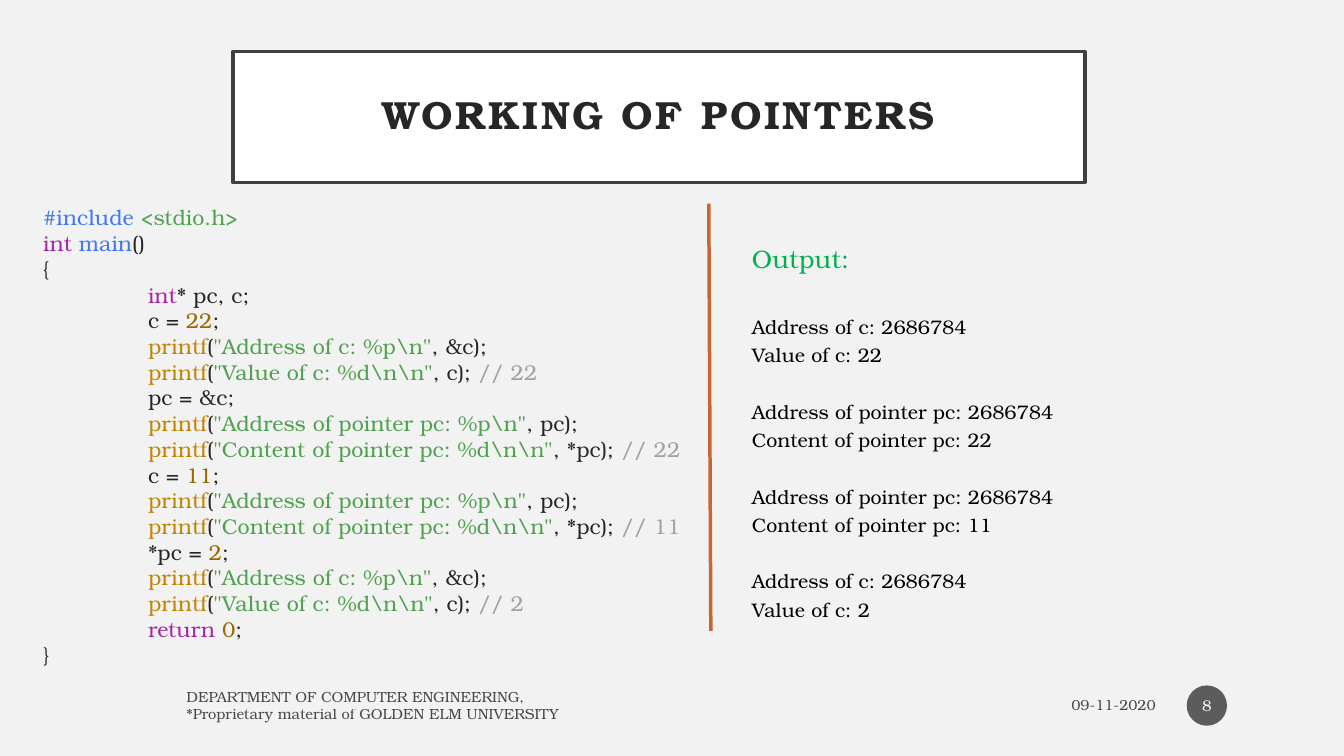
"""Build the slide on the working of pointers."""
from dataclasses import dataclass
from typing import Any

from lxml.etree import SubElement
from pptx import Presentation
from pptx.dml.color import RGBColor
from pptx.enum.shapes import MSO_CONNECTOR, MSO_SHAPE
from pptx.enum.text import MSO_ANCHOR, MSO_AUTO_SIZE, PP_ALIGN
from pptx.oxml.ns import qn
from pptx.util import Inches, Pt

FONT = "TeX Gyre Bonum"
HUES = {
    "back": "F2F2F2", "white": "FFFFFF", "frame": "404040", "text": "262626",
    "black": "000000", "disc": "1D1D1D", "rule": "C96731", "head": "00B050",
    "call": "4078F2", "quote": "50A14F", "key": "A626A4", "num": "986801",
    "print": "C18401", "note": "A0A1A7",
}


@dataclass
class Run:
    """A stretch of text in one colour."""
    text: str
    hue: str = "text"


@dataclass
class Line:
    """A paragraph with its indent, size and gap above."""
    runs: list[Run]
    left: float = 0
    size: float = 15.3
    gap: float = 0


@dataclass
class Label:
    """A line of text at the foot of the slide."""
    box: tuple[float, float, float, float]
    lines: list[str]
    align: PP_ALIGN


def color(name: str) -> RGBColor:
    """Look up a named colour."""
    return RGBColor.from_string(HUES[name])


def fade(node: Any) -> None:
    """Make every colour under the node 70% opaque."""
    for item in node.iter(qn("a:srgbClr")):
        SubElement(item, qn("a:alpha"), val="70000")


def write(shape: Any, lines: list[Line], *, align: PP_ALIGN = PP_ALIGN.LEFT,
          anchor: MSO_ANCHOR = MSO_ANCHOR.TOP, space: float = 1.0,
          bold: bool = False, track: float = 0,
          pad: tuple[float, float] = (0.1, 0.05)) -> None:
    """Fill a shape with formatted lines."""
    frame = shape.text_frame
    frame.word_wrap = True
    frame.auto_size = MSO_AUTO_SIZE.NONE
    frame.vertical_anchor = anchor
    frame.margin_left = frame.margin_right = Inches(pad[0])
    frame.margin_top = frame.margin_bottom = Inches(pad[1])
    for spot, line in enumerate(lines):
        para = frame.add_paragraph() if spot else frame.paragraphs[0]
        para.alignment = align
        para.line_spacing = space
        para.space_before = Pt(line.gap)
        if line.left:
            para._p.get_or_add_pPr().set("marL", str(Inches(line.left)))
        for part in line.runs:
            run = para.add_run()
            run.text = part.text
            font = run.font
            font.name, font.size, font.bold = FONT, Pt(line.size), bold
            font.color.rgb = color(part.hue)
            if track:
                run._r.get_or_add_rPr().set("spc", str(int(track * 100)))


def text_box(slide: Any, box: tuple[float, float, float, float]) -> Any:
    """Add an empty text box."""
    return slide.shapes.add_textbox(*map(Inches, box))


def step(*runs: Run) -> Line:
    """Make an indented line of code."""
    return Line(list(runs), left=1.04)


def show(quote: str, rest: str, note: str = "") -> Line:
    """Make a printf line of code."""
    runs = [Run("printf", "print"), Run("("), Run(f'"{quote}"', "quote"),
            Run(f", {rest});" + (" " if note else ""))]
    return step(*runs, *([Run(note, "note")] if note else []))


def assign(name: str, value: str) -> Line:
    """Make a line that stores a number."""
    return step(Run(f"{name} = "), Run(value, "num"), Run(";"))


def direct(note: str) -> list[Line]:
    """Print c itself."""
    return [show(r"Address of c: %p\n", "&c"),
            show(r"Value of c: %d\n\n", "c", note)]


def via(note: str) -> list[Line]:
    """Print c through its pointer."""
    return [show(r"Address of pointer pc: %p\n", "pc"),
            show(r"Content of pointer pc: %d\n\n", "*pc", note)]


CODE = [
    Line([Run("#include ", "call"), Run("<stdio.h>", "quote")]),
    Line([Run("int ", "key"), Run("main", "call"), Run("()")]),
    Line([Run("{")]),
    step(Run("int", "key"), Run("* pc, c;")),
    assign("c", "22"),
    *direct("// 22"),
    step(Run("pc = &c;")),
    *via("// 22"),
    assign("c", "11"),
    *via("// 11"),
    assign("*pc", "2"),
    *direct("// 2"),
    step(Run("return ", "key"), Run("0", "num"), Run(";")),
    Line([Run("}")]),
]
PRINTS = [("Address of c", "Value of c", 22),
          ("Address of pointer pc", "Content of pointer pc", 22),
          ("Address of pointer pc", "Content of pointer pc", 11),
          ("Address of c", "Value of c", 2)]
LABELS = [
    Label((8.55, 6.82, 3.01, 0.35), ["09-11-2020"], PP_ALIGN.RIGHT),
    Label((1.75, 6.82, 6.45, 0.35),
          ["DEPARTMENT OF COMPUTER ENGINEERING,",
           "*Proprietary material of GOLDEN ELM UNIVERSITY"], PP_ALIGN.LEFT),
]


def result() -> list[Line]:
    """List the lines that the program prints."""
    lines = [Line([Run("Output:", "head")], size=18)]
    for spot, (place, held, value) in enumerate(PRINTS):
        lines.append(Line([Run(f"{place}: 2686784", "black")], size=14,
                          gap=20.2 if spot else 26))
        lines.append(Line([Run(f"{held}: {value}", "black")], size=14))
    return lines


def main() -> None:
    """Draw the slide and save it."""
    deck = Presentation()
    deck.slide_width, deck.slide_height = Inches(13.33), Inches(7.5)
    slide = deck.slides.add_slide(deck.slide_layouts[5])
    slide.background.fill.solid()
    slide.background.fill.fore_color.rgb = color("back")

    title = slide.shapes.title
    title.left, title.top = Inches(2.31), Inches(0.51)
    title.width, title.height = Inches(8.45), Inches(1.3)
    title.fill.solid()
    title.fill.fore_color.rgb = color("white")
    title.line.color.rgb = color("frame")
    title.line.width = Pt(2.5)
    write(title, [Line([Run("WORKING OF POINTERS")], size=28), ],
          align=PP_ALIGN.CENTER, anchor=MSO_ANCHOR.MIDDLE, space=0.9,
          bold=True, track=2, pad=(0.2, 0.2))

    write(text_box(slide, (0.33, 1.98, 6.52, 4.8)), CODE)
    for label in LABELS:
        box = text_box(slide, label.box)
        write(box, [Line([Run(text, "black")], size=10.5)
                    for text in label.lines],
              align=label.align, anchor=MSO_ANCHOR.MIDDLE)
        fade(box._element)

    disc = slide.shapes.add_shape(
        MSO_SHAPE.OVAL, *map(Inches, (11.77, 6.8, 0.4, 0.4)))
    disc.shadow.inherit = False
    disc.fill.solid()
    disc.fill.fore_color.rgb = color("disc")
    disc.line.fill.background()
    fade(disc._element)
    write(disc, [Line([Run("8", "white")], size=11)], align=PP_ALIGN.CENTER,
          anchor=MSO_ANCHOR.MIDDLE, pad=(0.02, 0.05))

    write(text_box(slide, (7.36, 2.31, 5.4, 4.56)), result(), space=1.2)

    rule = slide.shapes.add_connector(
        MSO_CONNECTOR.STRAIGHT, *map(Inches, (7.03, 2.02, 7.05, 6.26)))
    rule.line.color.rgb = color("rule")
    rule.line.width = Pt(2.5)
    SubElement(rule._element.spPr, qn("a:effectLst"))
    deck.save("out.pptx")


if __name__ == "__main__":
    main()
